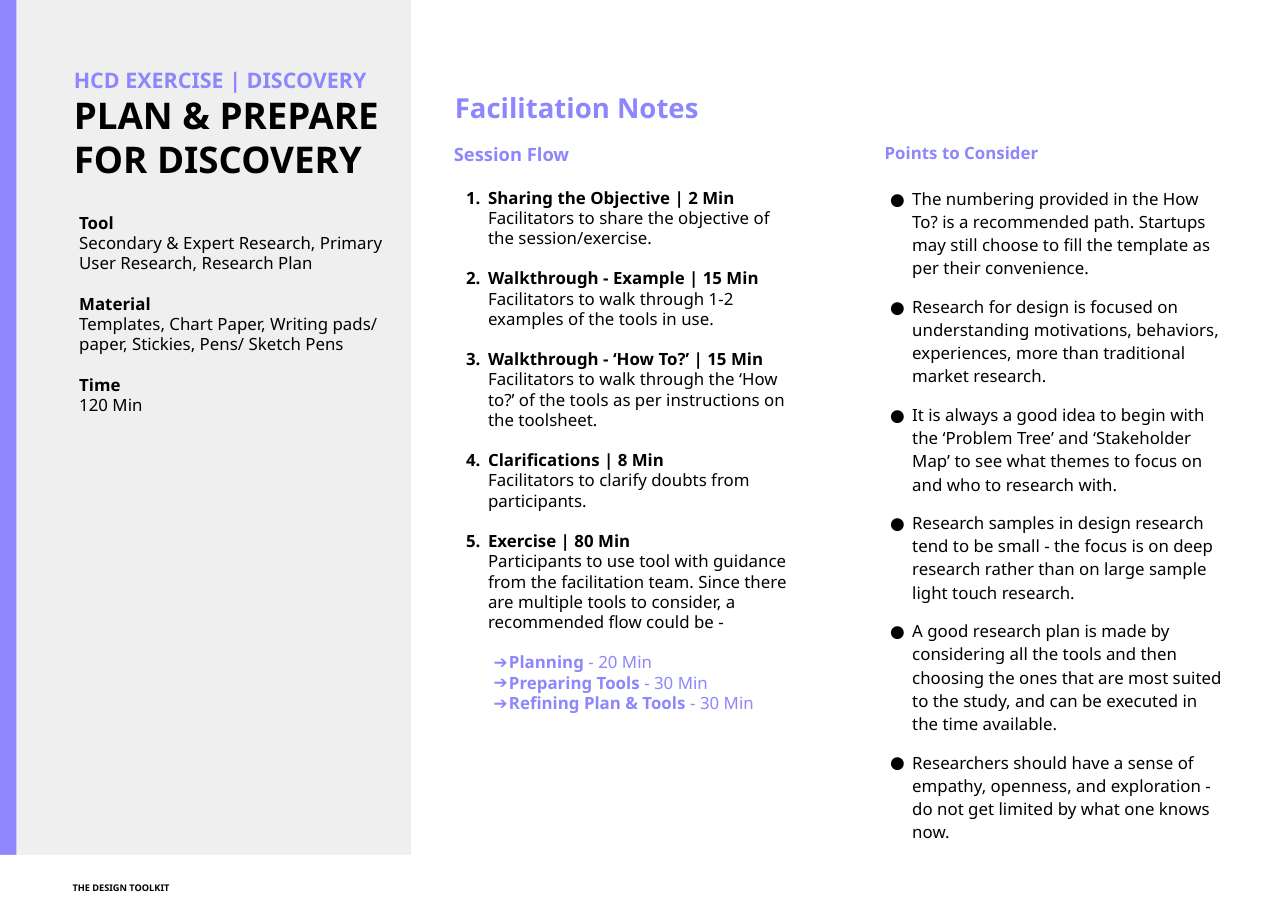
from dataclasses import dataclass

from lxml import etree
from pptx import Presentation
from pptx.dml.color import RGBColor
from pptx.enum.shapes import MSO_SHAPE
from pptx.enum.text import MSO_ANCHOR
from pptx.oxml.ns import qn
from pptx.util import Inches, Pt

RECTANGLE = MSO_SHAPE.RECTANGLE
TOP, MIDDLE, BOTTOM = MSO_ANCHOR.TOP, MSO_ANCHOR.MIDDLE, MSO_ANCHOR.BOTTOM
FONT = "Noto Sans"
COLORS = {"violet": "8D86FC", "gray": "EFEFEF", "white": "FFFFFF", "black": "000000"}
BLANK_LINE = 13.2
HEADING_GAP = 14.4


@dataclass
class Line:
    """One paragraph: a bold part, then a regular part."""
    bold: str = ""
    regular: str = ""
    size: float = 11
    color: str = "black"
    before: float = 0
    spacing: float = 1.0
    margin: float = 0
    hanging: float = 0
    bullet: str = ""
    number: int = 0


@dataclass
class Panel:
    """A plain filled rectangle."""
    left: float
    top: float
    width: float
    height: float
    color: str


@dataclass
class TextArea:
    """A text box and its paragraphs."""
    left: float
    top: float
    width: float
    height: float
    lines: list[Line]
    inset: float = 0.1
    anchor: MSO_ANCHOR = TOP


def add_panel(slide, panel: Panel) -> None:
    """Draw a rectangle without outline or shadow."""
    shape = slide.shapes.add_shape(RECTANGLE, Inches(panel.left), Inches(panel.top),
                                   Inches(panel.width), Inches(panel.height))
    shape.shadow.inherit = False
    shape.fill.solid()
    shape.fill.fore_color.rgb = RGBColor.from_string(COLORS[panel.color])
    shape.line.fill.background()


def add_bullet(paragraph, line: Line) -> None:
    """Set the indent and the bullet or number of a paragraph."""
    properties = paragraph._p.get_or_add_pPr()
    properties.set("marL", str(Inches(line.margin)))
    properties.set("indent", str(Inches(-line.hanging)))
    if not (line.bullet or line.number):
        return
    color = etree.SubElement(properties, qn("a:buClr"))
    etree.SubElement(color, qn("a:srgbClr")).set("val", COLORS[line.color])
    etree.SubElement(properties, qn("a:buFont")).set("typeface", FONT)
    if line.number:
        numbering = etree.SubElement(properties, qn("a:buAutoNum"))
        numbering.set("type", "arabicPeriod")
        numbering.set("startAt", str(line.number))
    else:
        etree.SubElement(properties, qn("a:buChar")).set("char", line.bullet)


def write_line(paragraph, line: Line) -> None:
    """Fill one paragraph and format its runs."""
    paragraph.line_spacing = line.spacing
    paragraph.space_before = Pt(line.before)
    add_bullet(paragraph, line)
    for text, is_bold in ((line.bold, True), (line.regular, False)):
        if text:
            run = paragraph.add_run()
            run.text = text
            run.font.name = FONT
            run.font.size = Pt(line.size)
            run.font.bold = is_bold
            run.font.color.rgb = RGBColor.from_string(COLORS[line.color])


def add_text(slide, area: TextArea) -> None:
    """Draw a wrapped text box with its paragraphs."""
    shape = slide.shapes.add_textbox(Inches(area.left), Inches(area.top),
                                     Inches(area.width), Inches(area.height))
    frame = shape.text_frame
    frame.word_wrap = True
    frame.vertical_anchor = area.anchor
    frame.margin_left = frame.margin_right = Inches(area.inset)
    frame.margin_top = frame.margin_bottom = Inches(area.inset)
    for index, line in enumerate(area.lines):
        paragraph = frame.add_paragraph() if index else frame.paragraphs[0]
        write_line(paragraph, line)


def session_lines() -> list[Line]:
    """Build the numbered session flow and its recommended steps."""
    lines = [Line("Session Flow", size=12, color="violet")]
    for number, (heading, detail) in enumerate(SESSION_STEPS, start=1):
        gap = HEADING_GAP if number == 1 else BLANK_LINE
        lines.append(Line(heading, before=gap, margin=0.31, hanging=0.2, number=number))
        lines.append(Line(regular=detail, margin=0.31))
    for index, (name, duration) in enumerate(EXERCISE_FLOW):
        lines.append(Line(f"{name} ", f"- {duration} Min", color="violet", margin=0.5,
                          before=0 if index else BLANK_LINE, hanging=0.14, bullet="➔"))
    return lines


def point_lines() -> list[Line]:
    """Build the bulleted points to consider."""
    lines = [Line("Points to Consider", color="violet")]
    for index, point in enumerate(POINTS):
        lines.append(Line(regular=point, before=10 if index else HEADING_GAP, spacing=1.15,
                          margin=0.25, hanging=0.2, bullet="●"))
    return lines


def fact_lines() -> list[Line]:
    """Build the tool, material and time facts."""
    lines = []
    for heading, details in FACTS:
        lines.append(Line(heading, before=BLANK_LINE if lines else 0))
        lines.extend(Line(regular=detail) for detail in details)
    return lines


SESSION_STEPS = [
    ("Sharing the Objective | 2 Min",
     "Facilitators to share the objective of the session/exercise."),
    ("Walkthrough - Example | 15 Min",
     "Facilitators to walk through 1-2 examples of the tools in use."),
    ("Walkthrough - ‘How To?’ | 15 Min",
     "Facilitators to walk through the ‘How to?’ of the tools as per instructions "
     "on the toolsheet."),
    ("Clarifications | 8 Min", "Facilitators to clarify doubts from participants."),
    ("Exercise | 80 Min",
     "Participants to use tool with guidance from the facilitation team. Since there "
     "are multiple tools to consider, a recommended flow could be -"),
]
EXERCISE_FLOW = [("Planning", 20), ("Preparing Tools", 30), ("Refining Plan & Tools", 30)]
POINTS = [
    "The numbering provided in the How To? is a recommended path. Startups may still "
    "choose to fill the template as per their convenience.",
    "Research for design is focused on understanding motivations, behaviors, "
    "experiences, more than traditional market research.",
    "It is always a good idea to begin with the ‘Problem Tree’ and ‘Stakeholder Map’ "
    "to see what themes to focus on and who to research with.",
    "Research samples in design research tend to be small - the focus is on deep "
    "research rather than on large sample light touch research.",
    "A good research plan is made by considering all the tools and then choosing the "
    "ones that are most suited to the study, and can be executed in the time available.",
    "Researchers should have a sense of empathy, openness, and exploration - do not "
    "get limited by what one knows now.",
]
FACTS = [
    ("Tool", ["Secondary & Expert Research, Primary User Research, Research Plan"]),
    ("Material", ["Templates, Chart Paper, Writing pads/",
                  "paper, Stickies, Pens/ Sketch Pens"]),
    ("Time", ["120 Min"]),
]
TITLE = [Line("HCD EXERCISE | DISCOVERY", size=14, color="violet"),
         Line("PLAN & PREPARE FOR DISCOVERY", size=24)]
PANELS = [Panel(0, 0, 3.73, 8.27, "gray"), Panel(0, 0, 0.15, 8.27, "violet"),
          Panel(0, 7.76, 11.69, 0.51, "white")]
TEXT_AREAS = [
    TextArea(0.54, 0.56, 3.12, 1.21, TITLE, 0.13, BOTTOM),
    TextArea(0.62, 1.83, 3.28, 2.14, fact_lines()),
    TextArea(4.03, 0.63, 3.28, 0.69,
             [Line("Facilitation Notes", size=18, color="violet")], anchor=MIDDLE),
    TextArea(3.99, 1.17, 3.36, 4.73, session_lines(), 0.13),
    TextArea(7.9, 1.17, 3.36, 6.37, point_lines(), 0.13),
    TextArea(0.56, 7.87, 4.61, 0.29, [Line("THE DESIGN TOOLKIT", size=6)], anchor=BOTTOM),
]

presentation = Presentation()
presentation.slide_width, presentation.slide_height = Inches(11.69), Inches(8.27)
slide = presentation.slides.add_slide(presentation.slide_layouts[6])
for panel in PANELS:
    add_panel(slide, panel)
for area in TEXT_AREAS:
    add_text(slide, area)
presentation.save("out.pptx")
